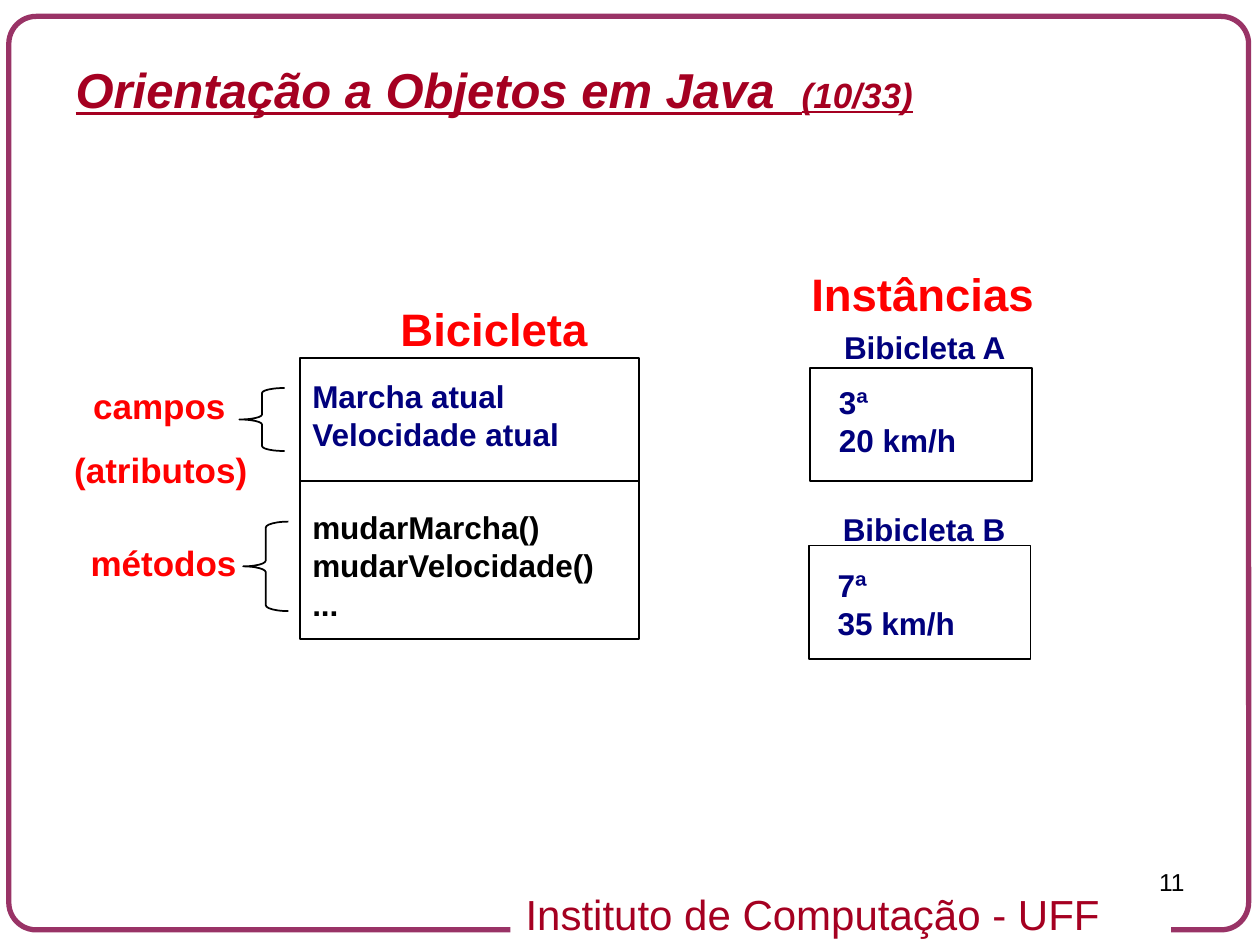
from typing import NamedTuple

from pptx import Presentation
from pptx.dml.color import RGBColor
from pptx.enum import shapes, text
from pptx.oxml import ns
from pptx.util import Inches, Pt
from lxml import etree

PLUM = RGBColor(0x99, 0x33, 0x66)
WINE = RGBColor(0xA5, 0x00, 0x21)
RED = RGBColor(0xFF, 0x00, 0x00)
NAVY = RGBColor(0x00, 0x00, 0x7D)
BLACK = RGBColor(0x00, 0x00, 0x00)
WHITE = RGBColor(0xFF, 0xFF, 0xFF)

KIND = shapes.MSO_SHAPE
ALIGN = text.PP_ALIGN
LABEL_WIDTH = 2.69


class Label(NamedTuple):
    left: float
    top: float
    height: float
    lines: list[str]
    size: int
    color: RGBColor
    tight: bool = False
    gap: float = 0
    indent: float = 0


class Brace(NamedTuple):
    left: float
    top: float
    height: float
    curve: float


class Item(NamedTuple):
    """One instance: its box, its name and the values of its fields."""
    left: float
    top: float
    name: str
    name_top: float
    values: list[str]
    value_top: float


LABELS = [
    Label(3.08, 2.34, 0.54, ["Bicicleta"], 26, RED),
    Label(2.38, 3.07, 0.87, ["Marcha atual", "Velocidade atual"], 18, NAVY, True, 11.2),
    Label(2.38, 4.11, 0.87, ["mudarMarcha()", "mudarVelocidade()", "..."],
          18, BLACK, True, 11.2),
    Label(0.49, 3, 0.94, ["campos", "(atributos)"], 20, RED, gap=12.5, indent=0.15),
    Label(0.62, 4.25, 0.44, ["métodos"], 20, RED),
    Label(6.34, 2.06, 0.54, ["Instâncias"], 26, RED),
]
BRACES = [Brace(1.9, 3.08, 0.5, 0.11), Brace(1.93, 4.14, 0.71, 0.13)]
ITEMS = [
    Item(6.43, 2.92, "Bibicleta A", 2.68, ["3ª", "20 km/h"], 3.12),
    Item(6.42, 4.33, "Bibicleta B", 4.13, ["7ª", "35 km/h"], 4.57),
]


def style(run, size: float, color: RGBColor, bold: bool = False) -> None:
    run.font.name = "Arial"
    run.font.size = Pt(size)
    run.font.bold = bold
    run.font.color.rgb = color


def add_shape(slide, kind, left: float, top: float, width: float, height: float,
              color: RGBColor = BLACK, weight: float = 1):
    """Draw an outlined shape without fill."""
    shape = slide.shapes.add_shape(
        kind, Inches(left), Inches(top), Inches(width), Inches(height))
    shape.shadow.inherit = False
    shape.fill.background()
    shape.line.color.rgb = color
    shape.line.width = Pt(weight)
    return shape


def add_line(slide, left: float, right: float, y: float,
             color: RGBColor, weight: float) -> None:
    line = slide.shapes.add_connector(
        shapes.MSO_CONNECTOR.STRAIGHT, Inches(left), Inches(y), Inches(right), Inches(y))
    line.line.color.rgb = color
    line.line.width = Pt(weight)
    etree.SubElement(line._element.spPr, ns.qn("a:effectLst"))


def add_label(slide, label: Label) -> None:
    box = slide.shapes.add_textbox(Inches(label.left), Inches(label.top),
                                   Inches(LABEL_WIDTH), Inches(label.height))
    frame = box.text_frame
    frame.word_wrap = True
    frame.text = "\n".join(label.lines)
    for i, par in enumerate(frame.paragraphs):
        if label.tight:
            par.line_spacing = 0.5
        if i:
            par.space_before = Pt(label.gap)
        elif label.indent:
            par._p.get_or_add_pPr().set("marL", str(Inches(label.indent)))
        style(par.runs[0], label.size, label.color, True)


def add_brace(slide, brace: Brace) -> None:
    shape = add_shape(slide, KIND.LEFT_BRACE, brace.left, brace.top, 0.36, brace.height)
    shape.adjustments[0] = brace.curve


def add_item(slide, item: Item) -> None:
    add_shape(slide, KIND.RECTANGLE, item.left, item.top, 1.76, 0.9)
    add_label(slide, Label(item.left + 0.13, item.value_top, 0.56, item.values,
                           18, NAVY, True, 11.2))
    add_label(slide, Label(item.left + 0.17, item.name_top, 0.25, [item.name],
                           18, NAVY, True))


def add_frame(slide) -> None:
    """Draw the rounded border, the footer that breaks it and the page number."""
    border = add_shape(slide, KIND.ROUNDED_RECTANGLE, 0.07, 0.13, 9.84, 7.25, PLUM, 3)
    border.adjustments[0] = 0.03
    add_line(slide, 8.46, 9.29, 7.37, WHITE, 4.5)

    foot = add_shape(slide, KIND.RECTANGLE, 4.05, 7, 4.8, 0.5)
    foot.fill.solid()
    foot.fill.fore_color.rgb = WHITE
    foot.line.fill.background()
    foot.text_frame.word_wrap = False
    foot.text_frame.vertical_anchor = text.MSO_ANCHOR.TOP
    foot.text_frame.text = "Instituto de Computação - UFF"
    par = foot.text_frame.paragraphs[0]
    par.alignment = ALIGN.CENTER
    style(par.runs[0], 24, WINE)

    page = slide.shapes.add_textbox(Inches(7.17), Inches(6.83), Inches(2.33), Inches(0.52))
    page.text_frame.word_wrap = True
    page.text_frame.text = "11"
    par = page.text_frame.paragraphs[0]
    par.alignment = ALIGN.RIGHT
    style(par.runs[0], 14, BLACK)


def set_title(slide) -> None:
    title = slide.shapes.title
    title.left, title.top = Inches(0.5), Inches(0.42)
    title.width, title.height = Inches(7.8), Inches(0.57)
    frame = title.text_frame
    frame.auto_size = text.MSO_AUTO_SIZE.NONE
    frame.vertical_anchor = text.MSO_ANCHOR.TOP
    par = frame.paragraphs[0]
    par.alignment = ALIGN.LEFT
    for words, size in [("Orientação a Objetos em Java  ", 28), ("(10/33)", 20)]:
        run = par.add_run()
        run.text = words
        style(run, size, WINE, True)
        run.font.italic = True
        run.font.underline = True


def main() -> None:
    deck = Presentation()
    deck.slide_width, deck.slide_height = Inches(10), Inches(7.5)
    slide = deck.slides.add_slide(deck.slide_layouts[5])
    add_frame(slide)
    set_title(slide)
    add_shape(slide, KIND.RECTANGLE, 2.38, 2.84, 2.69, 2.23)
    add_line(slide, 2.38, 5.07, 3.82, BLACK, 1)
    for label in LABELS:
        add_label(slide, label)
    for brace in BRACES:
        add_brace(slide, brace)
    for item in ITEMS:
        add_item(slide, item)
    deck.save("out.pptx")


if __name__ == "__main__":
    main()
